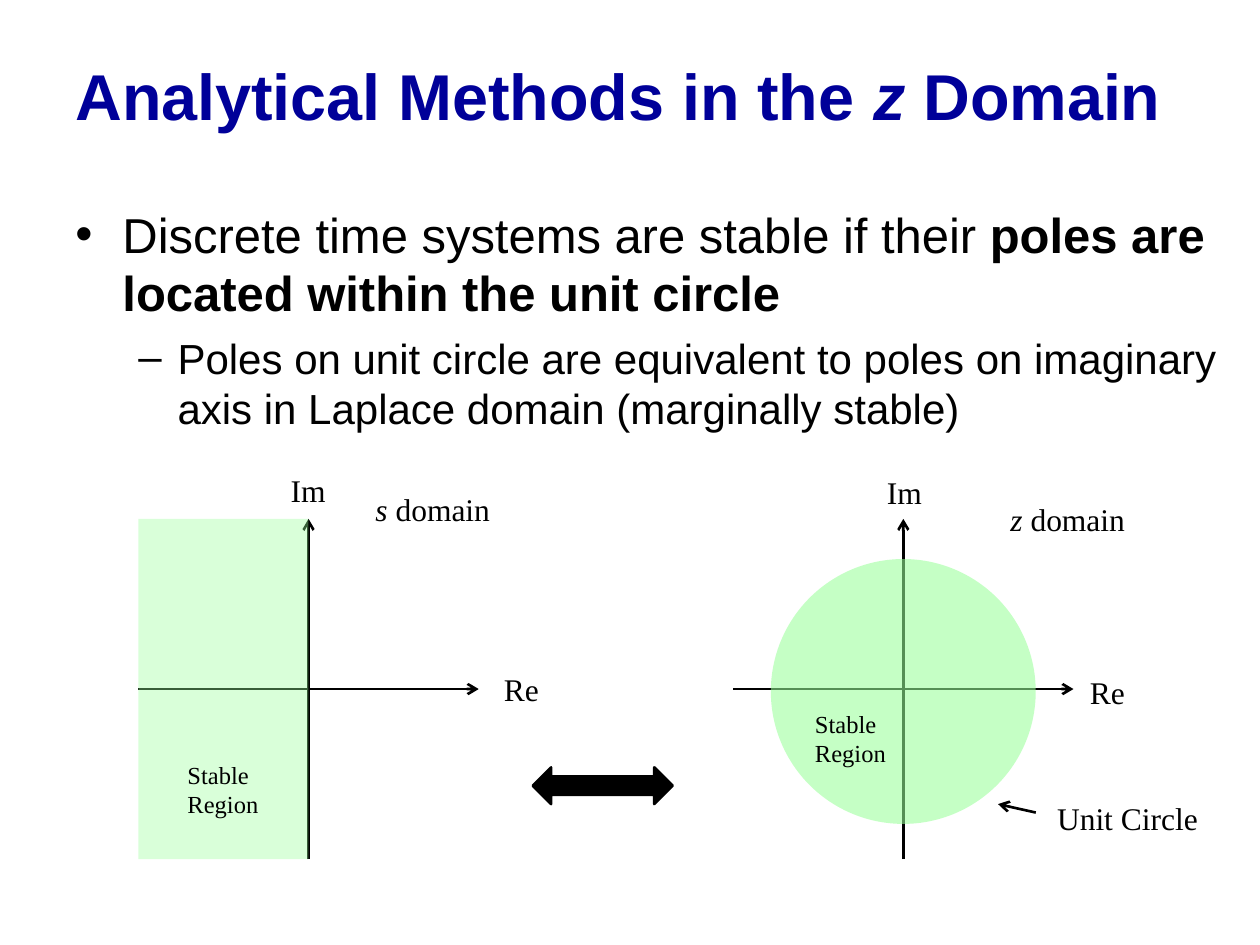
"""Builds a slide comparing the stable regions of the s and z domains."""
from lxml.etree import SubElement as Sub
from pptx import Presentation
from pptx.dml.color import RGBColor as Rgb
from pptx.enum.shapes import MSO_CONNECTOR as Line, MSO_SHAPE as Kind
from pptx.enum.text import MSO_ANCHOR as Anchor, MSO_AUTO_SIZE as Auto
from pptx.oxml.ns import qn
from pptx.util import Cm, Pt

BLACK, NAVY, GREEN = "000000", "000099", "99FF99"
TITLE = [("Analytical Methods in the ", "b"), ("z", "bi"), (" Domain", "b")]
POINTS = [
    dict(runs=[("Discrete time systems are stable if their ", ""),
               ("poles are located within the unit circle", "b")],
         size=28, mark="•", left=0.95, hang=0.95, gap=0),
    dict(runs=[("Poles on unit circle are equivalent to poles on imaginary "
                "axis in Laplace domain (marginally stable)", "")],
         size=24, mark="–", left=2.06, hang=0.79, gap=6),
]
LABELS = [
    ([("s", "i"), (" domain", "")], 7.32, 9.75, 3.68, 18),
    ([("z", "i"), (" domain", "")], 20.12, 9.96, 3.68, 18),
    ([("Re", "")], 9.91, 13.39, 3.68, 18),
    ([("Re", "")], 21.72, 13.44, 3.68, 18),
    ([("Im", "")], 17.63, 9.42, 3.68, 18),
    ([("Im", "")], 5.61, 9.37, 3.68, 18),
    ([("Stable Region", "")], 3.53, 15.19, 2.34, 14),
    ([("Stable Region", "")], 16.18, 14.17, 2.34, 14),
    ([("Unit Circle", "")], 21.06, 15.98, 3.48, 18),
]
MID, HALF, RAD = 13.89, 3.43, 2.67
S_MID, Z_MID = 6.22, 18.21

deck = Presentation()
deck.slide_width, deck.slide_height = Cm(25.4), Cm(19.05)
slide = deck.slides.add_slide(deck.slide_layouts[6])
shapes = slide.shapes


def tint(text):
    return Rgb.from_string(text)


def fill_in(para, runs, size, font="Arial", color=BLACK):
    for words, style in runs:
        run = para.add_run()
        run.text = words
        face = run.font
        face.name, face.size, face.color.rgb = font, Pt(size), tint(color)
        face.bold, face.italic = "b" in style, "i" in style


def bullet(para, mark, left, hang):
    props = para._p.get_or_add_pPr()
    props.set("marL", str(Cm(left)))
    props.set("indent", str(-Cm(hang)))
    Sub(Sub(props, qn("a:buClr")), qn("a:srgbClr"), val=BLACK)
    Sub(props, qn("a:buFont"), typeface="Arial")
    Sub(props, qn("a:buChar"), char=mark)


def write(runs, x, y, w, h, anchor=Anchor.TOP, fit=Auto.NONE, **look):
    frame = shapes.add_textbox(Cm(x), Cm(y), Cm(w), Cm(h)).text_frame
    frame.word_wrap, frame.auto_size = True, fit
    frame.vertical_anchor = anchor
    if runs:
        fill_in(frame.paragraphs[0], runs, **look)
    return frame


def arrow(x1, y1, x2, y2):
    line = shapes.add_connector(Line.STRAIGHT, Cm(x1), Cm(y1), Cm(x2), Cm(y2))
    line.line.width, line.line.color.rgb = Pt(1.5), tint(BLACK)
    Sub(line.line._get_or_add_ln(), qn("a:tailEnd"), type="arrow")
    Sub(line._element.spPr, qn("a:effectLst"))
    return line


def block(kind, x, y, w, h, color, alpha=None):
    item = shapes.add_shape(kind, Cm(x), Cm(y), Cm(w), Cm(h))
    item.shadow.inherit = False
    item.fill.solid()
    item.fill.fore_color.rgb = tint(color)
    if alpha:
        tone = item._element.spPr.find(".//" + qn("a:srgbClr"))
        Sub(tone, qn("a:alpha"), val=str(alpha * 1000))
        item.line.fill.background()
    else:
        item.line.width, item.line.color.rgb = Pt(1.5), tint(color)
    return item


def axes(x):
    arrow(x, MID + HALF, x, MID - HALF)
    return arrow(x - HALF, MID, x + HALF, MID)


write(TITLE, 1.27, 0.64, 22.78, 2.54, Anchor.MIDDLE, size=37, color=NAVY)
body = write([], 1.27, 3.99, 24.18, 13.77)
for i, point in enumerate(POINTS):
    para = body.add_paragraph() if i else body.paragraphs[0]
    para.space_before = Pt(point["gap"])
    bullet(para, point["mark"], point["left"], point["hang"])
    fill_in(para, point["runs"], point["size"])

real = axes(S_MID)
axes(Z_MID)
plane = block(Kind.RECTANGLE, S_MID - HALF, MID - HALF, HALF, 2 * HALF,
              GREEN, 37)
real.begin_connect(plane, 1)
block(Kind.OVAL, Z_MID - RAD, MID + 0.05 - RAD, 2 * RAD, 2 * RAD, GREEN, 56)
for runs, x, y, w, size in LABELS:
    write(runs, x, y, w, 1.02 if size == 18 else 1.45,
          fit=Auto.SHAPE_TO_FIT_TEXT, size=size, font="Times New Roman")
block(Kind.LEFT_RIGHT_ARROW, 10.74, 15.47, 2.82, 0.74, BLACK)
arrow(20.88, 16.38, 20.12, 16.21)

deck.save("out.pptx")
